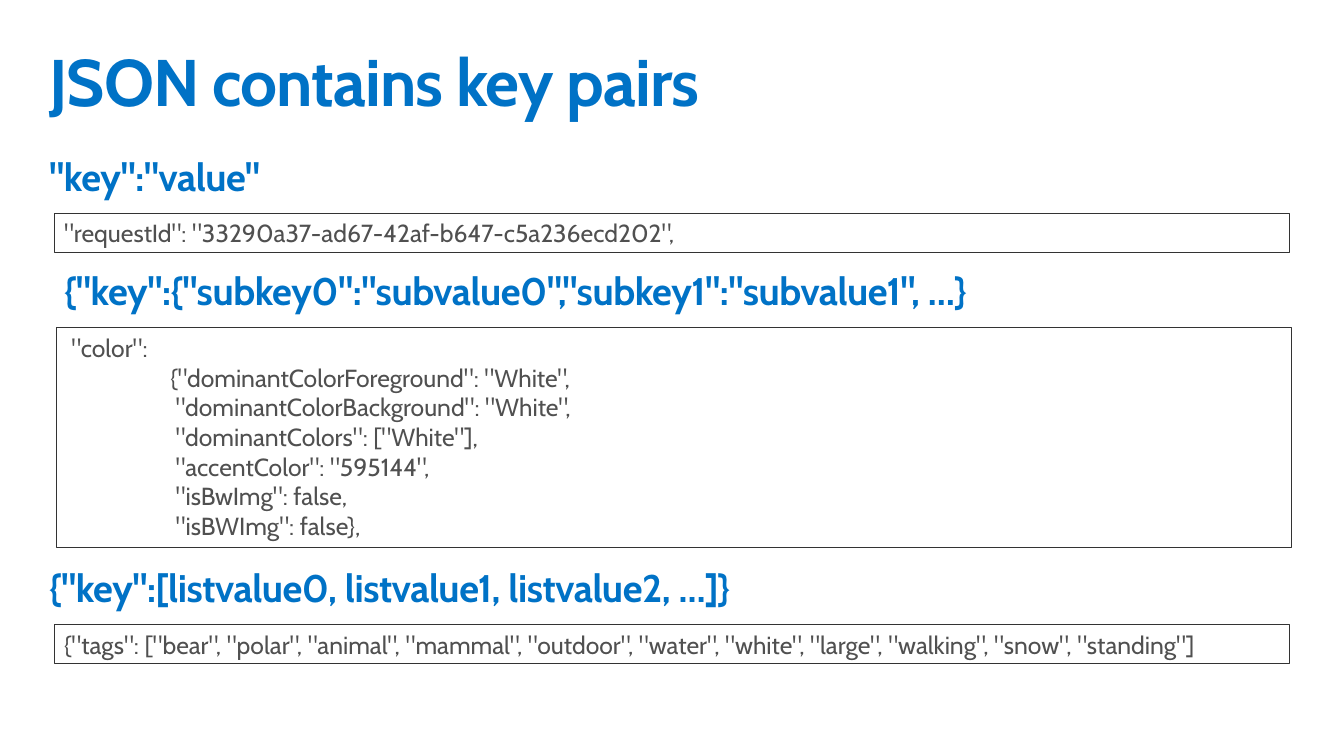
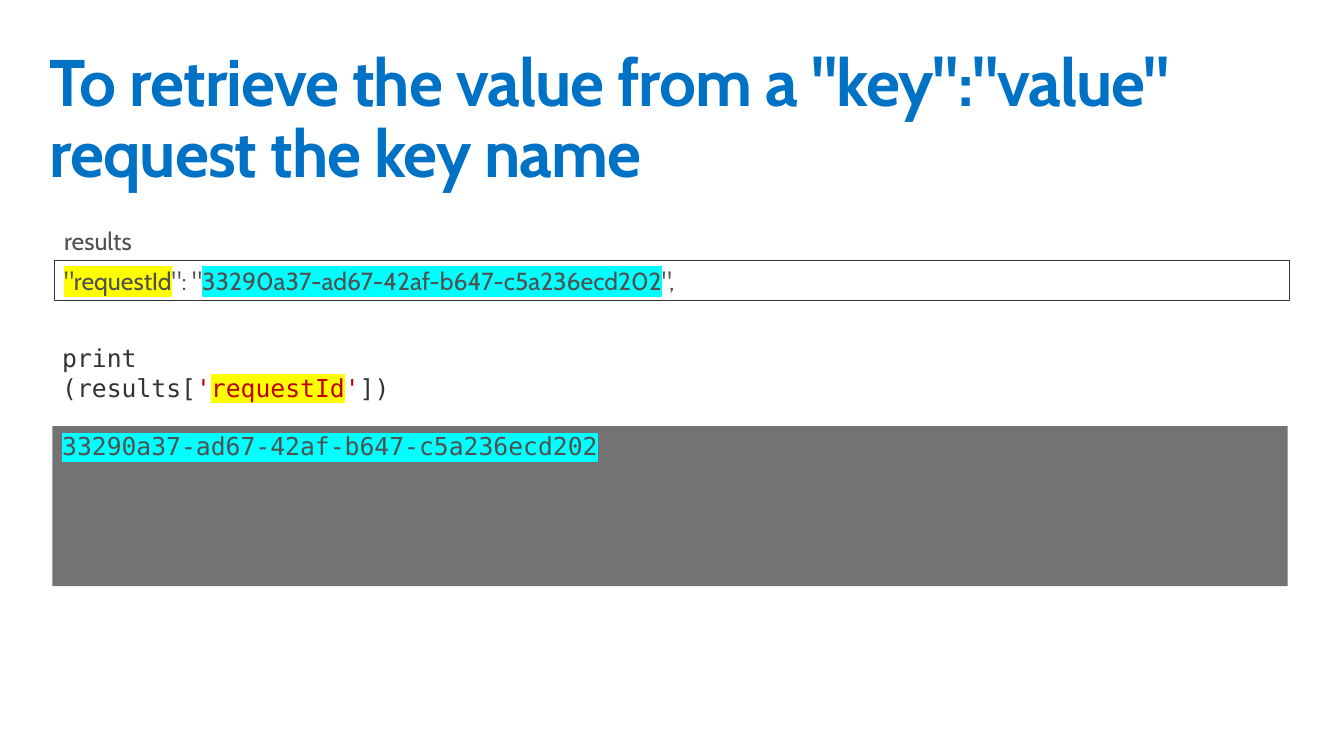
from pptx import Presentation
from pptx.dml.color import RGBColor
from pptx.enum.shapes import MSO_SHAPE
from pptx.enum.text import MSO_ANCHOR, PP_ALIGN
from pptx.oxml.ns import qn
from pptx.util import Pt
from lxml import etree

RECT = MSO_SHAPE.RECTANGLE
TOP = MSO_ANCHOR.TOP
LEFT = PP_ALIGN.LEFT

BLUE = RGBColor(0x00, 0x72, 0xC6)
GRAY = RGBColor(0x50, 0x50, 0x50)
DARK = RGBColor(0x33, 0x33, 0x33)
RED = RGBColor(0xC0, 0x00, 0x00)
SLATE = RGBColor(0x73, 0x73, 0x73)
YELLOW = RGBColor(0xFF, 0xFF, 0x00)
CYAN = RGBColor(0x00, 0xFF, 0xFF)

SANS = "Cabin"
MONO = "DejaVu Sans Mono"
ID = "33290a37-ad67-42af-b647-c5a236ecd202"
EDGE = 39.6
WIDE = 900
LOW = 28.8


def write(shape, lines, face=SANS, size=18, ink=GRAY, bold=False, track=0, pad=3.6):
    frame = shape.text_frame
    frame.word_wrap = True
    frame.vertical_anchor = TOP
    frame.margin_left = frame.margin_right = Pt(7.2)
    frame.margin_top = frame.margin_bottom = Pt(pad)
    for i, (dent, runs) in enumerate(lines):
        para = frame.add_paragraph() if i else frame.paragraphs[0]
        para.alignment = LEFT
        font = para.font
        font.name, font.size, font.bold = face, Pt(size), bold
        font.color.rgb = ink
        props = para._p.get_or_add_pPr()
        props.set("marL", str(Pt(dent)))
        if track:
            para.line_spacing = 0.9
            props.find(qn("a:defRPr")).set("spc", str(track))
        for words, tone, mark in runs:
            run = para.add_run()
            run.text = words
            run.font.color.rgb = tone or ink
            if mark:
                glow = etree.Element(qn("a:highlight"))
                etree.SubElement(glow, qn("a:srgbClr")).set("val", str(mark))
                run._r.rPr.find(qn("a:solidFill")).addnext(glow)


def panel(slide, left, top, high, fill=None):
    shape = slide.shapes.add_shape(RECT, Pt(left), Pt(top), Pt(WIDE), Pt(high))
    shape.shadow.inherit = False
    if fill:
        shape.fill.solid()
        shape.fill.fore_color.rgb = fill
        shape.line.fill.background()
    else:
        shape.fill.background()
        shape.line.color.rgb = DARK
        shape.line.width = Pt(0.75)
    return shape


deck = Presentation()
deck.slide_width, deck.slide_height = Pt(979.2), Pt(550.8)

pages = []
for title in ["JSON contains key pairs",
              'To retrieve the value from a "key":"value" request the key name']:
    slide = deck.slides.add_slide(deck.slide_layouts[6])
    box = slide.shapes.add_textbox(Pt(28.8), Pt(28.8), Pt(921.6), Pt(72))
    write(box, [(0, [(title, None, None)])], size=48, ink=BLUE, bold=True, track=-70, pad=7.2)
    pages.append(slide)
pairs, fetch = pages

for left, top, words in [
    (28.8, 108, '"key":"value"'),
    (39.6, 191.5, '{"key":{"subkey0":"subvalue0","subkey1":"subvalue1", …}'),
    (28.8, 407.5, '{"key":[listvalue0, listvalue1, listvalue2, …]}'),
]:
    box = pairs.shapes.add_textbox(Pt(left), Pt(top), Pt(921.6), Pt(45.4))
    write(box, [(0, [(words, None, None)])], size=28, ink=BLUE, bold=True, track=-30, pad=7.2)
    box.text_frame.paragraphs[0].space_before = Pt(6)

tags = ["bear", "polar", "animal", "mammal", "outdoor", "water",
        "white", "large", "walking", "snow", "standing"]
listed = ", ".join(f'"{tag}"' for tag in tags)
color = [
    (4, '"color":'),
    (76, '{"dominantColorForeground": "White",'),
    (80, '"dominantColorBackground": "White",'),
    (80, '"dominantColors": ["White"],'),
    (80, '"accentColor": "595144",'),
    (80, '"isBwImg": false,'),
    (80, '"isBWImg": false},'),
]
for left, top, high, rows in [
    (EDGE, 155.5, LOW, [(0, f'"requestId": "{ID}",')]),
    (41, 239, 160, color),
    (EDGE, 455, LOW, [(0, f'{{"tags": [{listed}]')]),
]:
    write(panel(pairs, left, top, high),
          [(dent, [(words, None, None)]) for dent, words in rows])

label = fetch.shapes.add_textbox(Pt(EDGE), Pt(161.3), Pt(66.2), Pt(LOW))
write(label, [(0, [("results", None, None)])])

write(panel(fetch, EDGE, 190, LOW), [(0, [
    ('"requestId', None, YELLOW),
    ('": "', None, None),
    (ID, None, CYAN),
    ('",', None, None),
])])

code = fetch.shapes.add_textbox(Pt(38.2), Pt(246.2), Pt(293.8), Pt(LOW))
write(code, [(0, [
    ("print (results[", None, None),
    ("'", RED, None),
    ("requestId", RED, YELLOW),
    ("'", RED, None),
    ("])", None, None),
])], face=MONO, ink=DARK)

write(panel(fetch, 38.2, 310.5, 116.6, SLATE), [(0, [(ID, None, CYAN)])], face=MONO)

deck.save("out.pptx")
